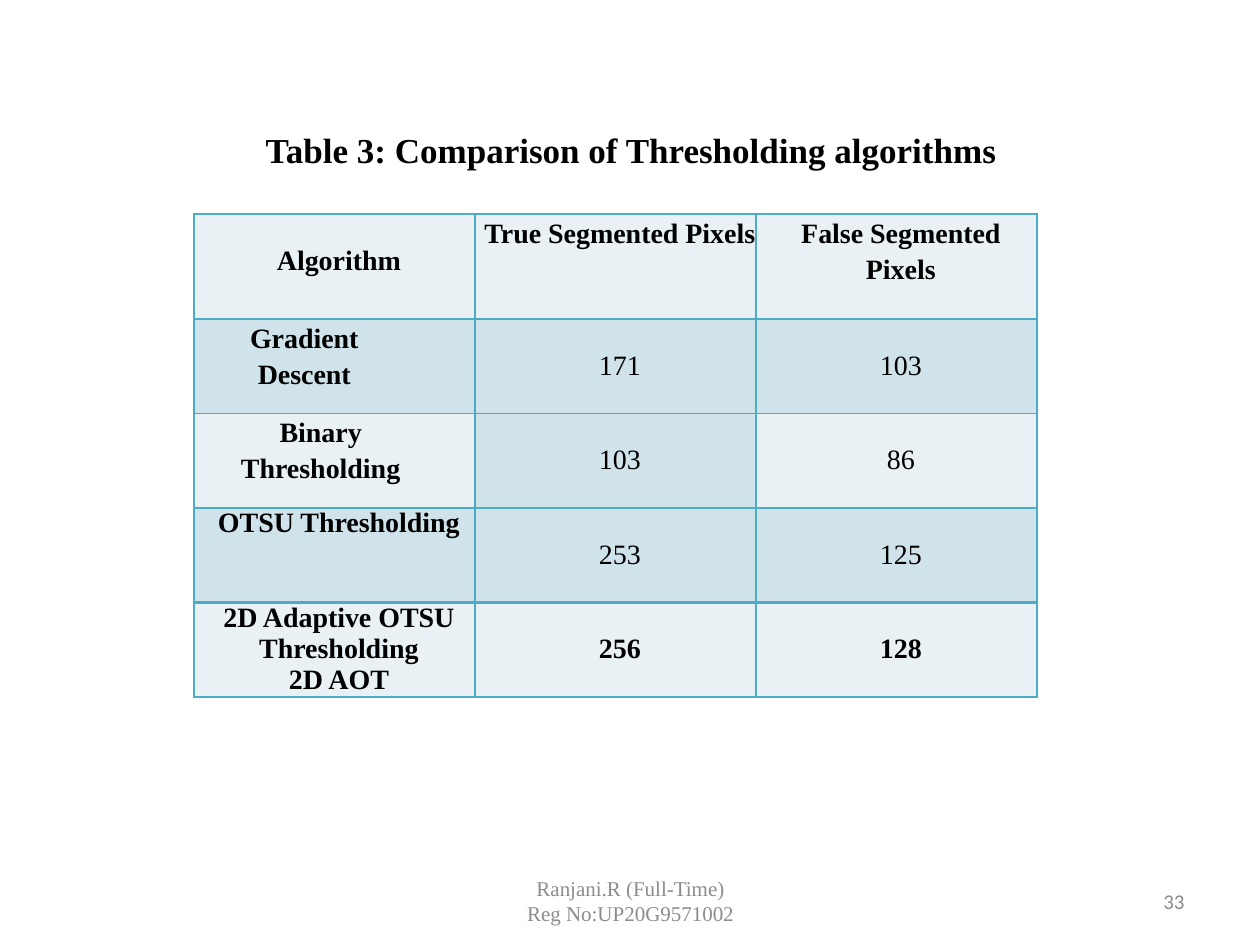
import lxml.etree
import pptx
import pptx.dml.color
import pptx.enum.text
import pptx.oxml
import pptx.oxml.ns
import pptx.util

Inches = pptx.util.Inches
ALIGN = pptx.enum.text.PP_ALIGN
MIDDLE = pptx.enum.text.MSO_ANCHOR.MIDDLE
SERIF = "Times New Roman"
LIGHT, DARK, BORDER, GRAY = "E9F1F5", "D0E3EA", "4BACC6", "8C8C8C"


def rgb(color):
    return pptx.dml.color.RGBColor.from_string(color)


def write(frame, text, size=16, font=SERIF, color="000000", bold=False,
          align=ALIGN.CENTER, spacing=1.0):
    """Fill a text frame, one paragraph for each line of text."""
    frame.word_wrap = True
    for index, line in enumerate(text.split("\n")):
        para = frame.add_paragraph() if index else frame.paragraphs[0]
        para.alignment = align
        para.line_spacing = spacing
        span = para.add_run()
        span.text = line
        span.font.size = pptx.util.Pt(size)
        span.font.name = font
        span.font.bold = bold
        span.font.color.rgb = rgb(color)


deck = pptx.Presentation()
deck.slide_width, deck.slide_height = Inches(10), Inches(7.5)
page = deck.slides.add_slide(deck.slide_layouts[5])

# Title
title = page.shapes.title
title.left, title.top = Inches(0.51), Inches(0.84)
title.width, title.height = Inches(9), Inches(0.69)
title.text_frame.vertical_anchor = MIDDLE
write(title.text_frame, "Table 3: Comparison of Thresholding algorithms",
      size=20, bold=True)

# Comparison table
rows = [
    ("Algorithm", "True Segmented Pixels", "False Segmented Pixels"),
    ("Gradient Descent", "171", "103"),
    ("Binary Thresholding", "103", "86"),
    ("OTSU Thresholding", "253", "125"),
    ("2D Adaptive OTSU Thresholding\n2D AOT", "256", "128"),
]
last = len(rows) - 1
right_margins = {"Gradient Descent": 0.55, "Binary Thresholding": 0.29}
loose_labels = {*rows[0][1:], *right_margins}

table = page.shapes.add_table(len(rows), 3, Inches(1.54), Inches(1.7),
                              Inches(6.69), Inches(3.83)).table
for column in table.columns:
    column.width = Inches(2.23)
for r, values in enumerate(rows):
    table.rows[r].height = Inches(0.75 if r else 0.83)
    for c, value in enumerate(values):
        cell = table.cell(r, c)
        # Numbers and the first heading sit one line below the cell top
        lowered = value.isdigit() or value == "Algorithm"
        cell.margin_top = Inches(0.25 if lowered else 0)
        cell.margin_bottom = 0
        cell.margin_left = Inches(0.07)
        cell.margin_right = Inches(right_margins.get(value, 0))
        write(cell.text_frame, value, bold=c == 0 or r in (0, last),
              spacing=1.15 if value in loose_labels else 1.0)

        properties = cell._tc.get_or_add_tcPr()
        for side in "LRTB":
            width = 2 if r == last and side == "T" else 1
            line = lxml.etree.SubElement(
                properties, pptx.oxml.ns.qn(f"a:ln{side}"),
                w=str(pptx.util.Pt(width)))
            fill = lxml.etree.SubElement(line, pptx.oxml.ns.qn("a:solidFill"))
            lxml.etree.SubElement(fill, pptx.oxml.ns.qn("a:srgbClr"), val=BORDER)
        cell.fill.solid()
        cell.fill.fore_color.rgb = rgb(
            DARK if r % 2 or (r, c) == (2, 1) else LIGHT)

# Footer and page number
for left, width, text, font, align in [
    (7.17, 2.33, "33", "Calibri", ALIGN.RIGHT),
    (3.42, 3.17, "Ranjani.R (Full-Time)\nReg No:UP20G9571002", SERIF, ALIGN.CENTER),
]:
    box = page.shapes.add_textbox(Inches(left), Inches(6.95), Inches(width), Inches(0.4))
    box.text_frame.vertical_anchor = MIDDLE
    write(box.text_frame, text, size=12, font=font, color=GRAY, align=align)

deck.save("out.pptx")
